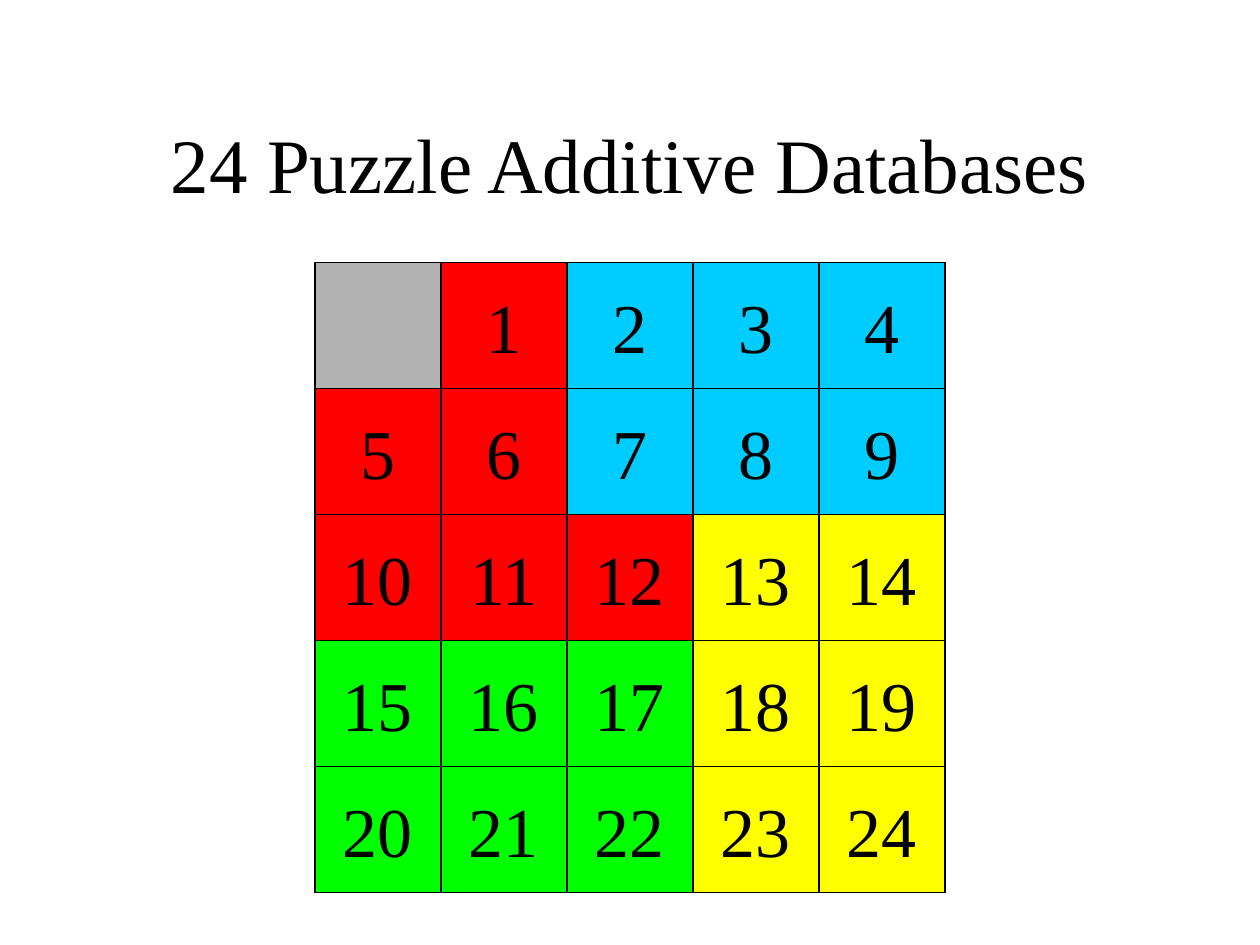
from pptx import Presentation
from pptx.dml.color import RGBColor
from pptx.enum.shapes import MSO_CONNECTOR, MSO_SHAPE
from pptx.enum.text import MSO_ANCHOR, PP_ALIGN
from pptx.oxml.ns import qn
from pptx.util import Pt
from lxml.etree import SubElement

COLORS = {
    "black": "000000",
    "blank": "B2B2B2",
    "red": "FF0000",
    "blue": "00CCFF",
    "yellow": "FFFF00",
    "green": "00FF00",
}
CODES = {"x": "blank", "r": "red", "b": "blue", "y": "yellow", "g": "green"}
ROWS = ["xrbbb", "rrbbb", "rrryy", "gggyy", "gggyy"]
LEFT, TOP, CELL = 180, 150, 72
SIDE = CELL * len(ROWS)


def color(name):
    return RGBColor.from_string(COLORS[name])


def write(shape, text, size, font, ink="black", wrap=True):
    frame = shape.text_frame
    frame.word_wrap = wrap
    frame.vertical_anchor = MSO_ANCHOR.MIDDLE
    frame.margin_left = frame.margin_right = Pt(7.2)
    frame.margin_top = frame.margin_bottom = Pt(3.6)
    line = frame.paragraphs[0]
    line.alignment = PP_ALIGN.CENTER
    run = line.add_run()
    run.text = text
    run.font.size = Pt(size)
    run.font.name = font
    run.font.color.rgb = color(ink)


class Board:
    font = "Times New Roman"
    stroke = 0.75

    def __init__(self, slide):
        self.slide = slide

    def outline(self, shape):
        shape.line.color.rgb = color("black")
        shape.line.width = Pt(self.stroke)

    def title(self, text, x, y, w, h):
        shape = self.slide.shapes.title
        shape.left, shape.top, shape.width, shape.height = map(Pt, (x, y, w, h))
        write(shape, text, size=44, font=self.font)

    def box(self, x, y, w, h, fill=None, text=None):
        shape = self.slide.shapes.add_shape(
            MSO_SHAPE.RECTANGLE, Pt(x), Pt(y), Pt(w), Pt(h))
        shape.shadow.inherit = False
        self.outline(shape)
        if fill:
            shape.fill.solid()
            shape.fill.fore_color.rgb = color(fill)
        else:
            shape.fill.background()
        if text:
            write(shape, text, size=40, font=self.font, wrap=False)

    def rule(self, x1, y1, x2, y2):
        line = self.slide.shapes.add_connector(
            MSO_CONNECTOR.STRAIGHT, Pt(x1), Pt(y1), Pt(x2), Pt(y2))
        self.outline(line)
        SubElement(line._element.spPr, qn("a:effectLst"))


def main():
    deck = Presentation()
    deck.slide_width, deck.slide_height = Pt(720), Pt(540)
    board = Board(deck.slides.add_slide(deck.slide_layouts[5]))
    board.title("24 Puzzle Additive Databases", 54, 48, 612, 90)

    board.box(LEFT, TOP, SIDE, SIDE)
    steps = range(CELL, SIDE, CELL)
    for step in steps:
        board.rule(LEFT + step, TOP, LEFT + step, TOP + SIDE)
    for step in steps:
        board.rule(LEFT, TOP + step, LEFT + SIDE, TOP + step)

    for row, codes in enumerate(ROWS):
        for col, code in enumerate(codes):
            num = row * len(ROWS) + col
            board.box(LEFT + col * CELL, TOP + row * CELL, CELL, CELL,
                      fill=CODES[code], text=str(num) if num else None)

    deck.save("out.pptx")


if __name__ == "__main__":
    main()
